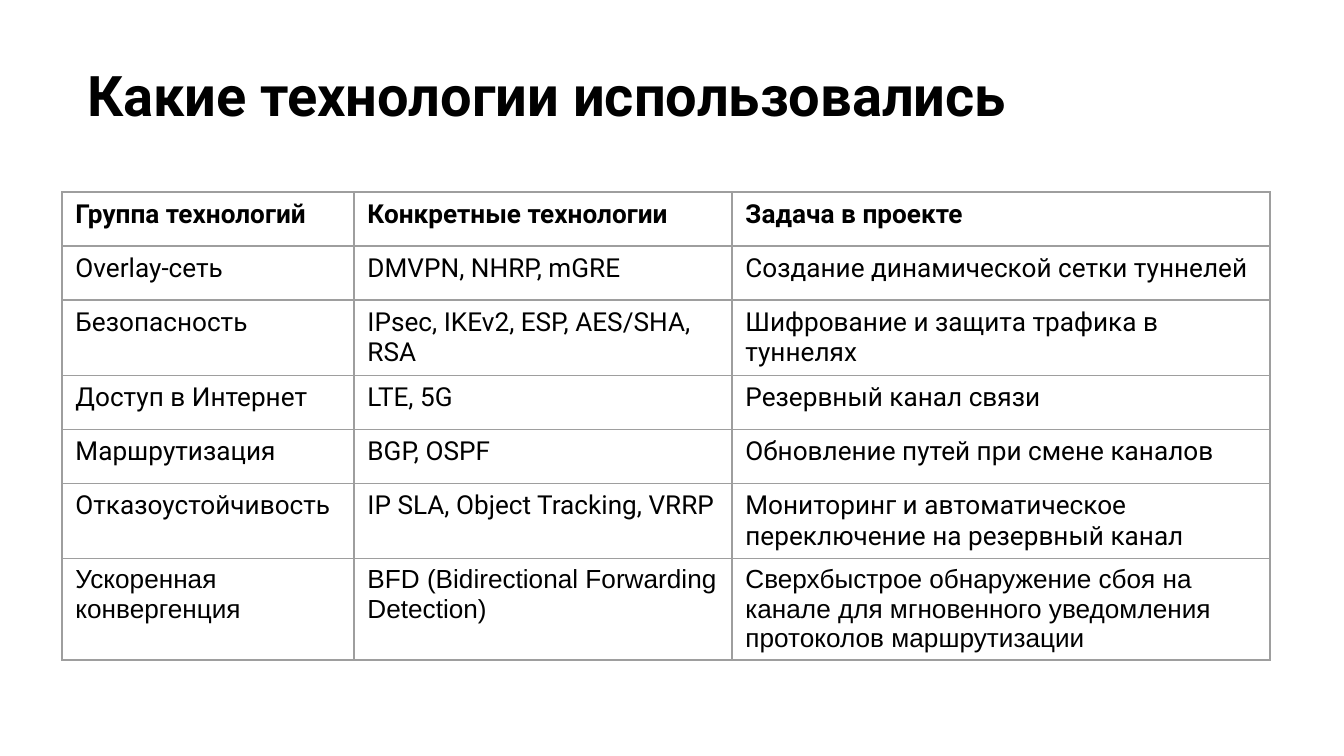
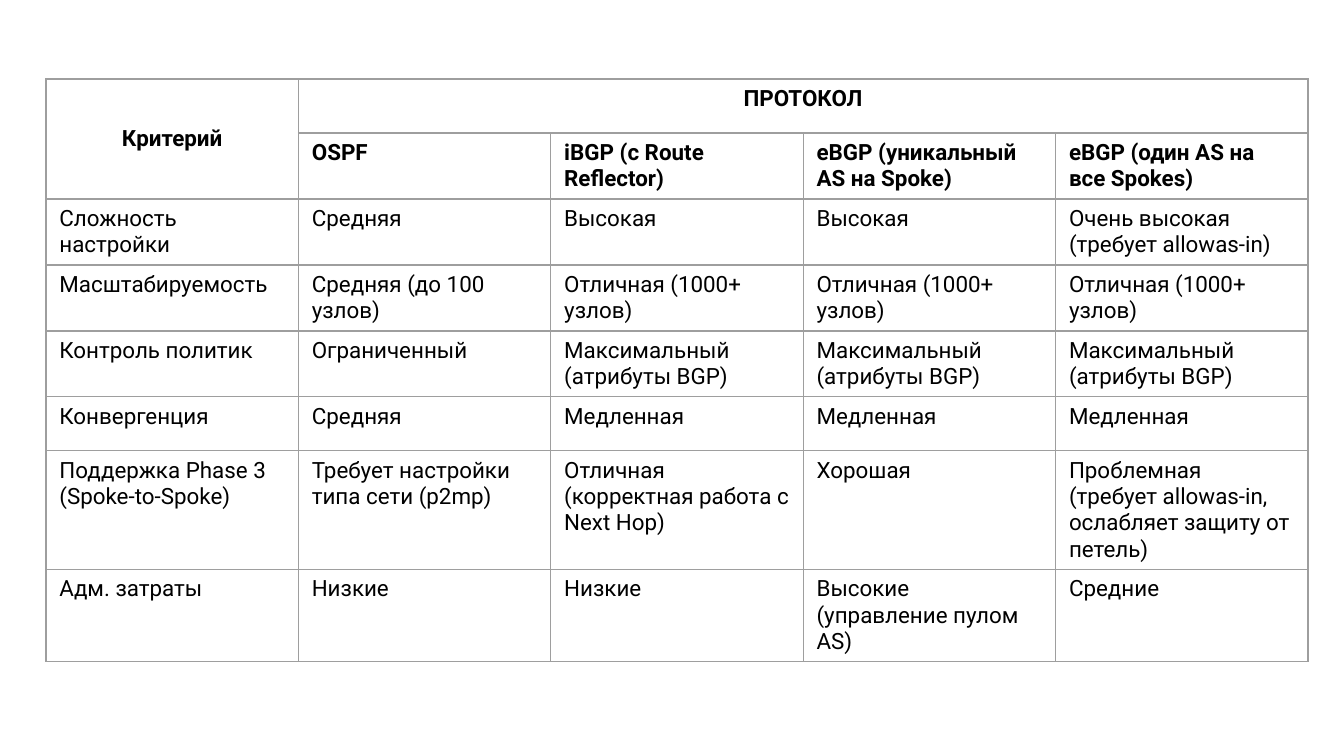
from lxml.etree import SubElement
from pptx import Presentation
from pptx.dml.color import RGBColor
from pptx.enum.text import MSO_ANCHOR, MSO_AUTO_SIZE, PP_ALIGN
from pptx.oxml.ns import qn
from pptx.util import Emu, Pt

COLORS = {"text": "000000", "paper": "FFFFFF", "grid": "9E9E9E"}
FONT = "Roboto"
PX = 914400 / 134.4
ROW_HEIGHT = 54
INSET = 13
TITLE = "Какие технологии использовались"

TECHNOLOGIES = {
    "place": (62, 192),
    "columns": [292, 378, 538],
    "size": 14,
    "header_rows": 1,
    "row_fonts": {6: "Arial"},
    "merges": [],
    "rows": [
        ("Группа технологий", "Конкретные технологии", "Задача в проекте"),
        ("Overlay-сеть", "DMVPN, NHRP, mGRE", "Создание динамической сетки туннелей"),
        ("Безопасность", "IPsec, IKEv2, ESP, AES/SHA, RSA", "Шифрование и защита трафика в туннелях"),
        ("Доступ в Интернет", "LTE, 5G", "Резервный канал связи"),
        ("Маршрутизация", "BGP, OSPF", "Обновление путей при смене каналов"),
        ("Отказоустойчивость", "IP SLA, Object Tracking, VRRP",
         "Мониторинг и автоматическое переключение на резервный канал"),
        ("Ускоренная конвергенция", "BFD (Bidirectional Forwarding Detection)",
         "Сверхбыстрое обнаружение сбоя на канале для мгновенного уведомления протоколов маршрутизации"),
    ],
}

PROTOCOLS = {
    "place": (46, 79),
    "columns": [1262 / 5] * 5,
    "size": 12,
    "header_rows": 2,
    "row_fonts": {},
    "merges": [((0, 0), (1, 0)), ((0, 1), (0, 4))],
    "rows": [
        ("Критерий", "ПРОТОКОЛ", None, None, None),
        (None, "OSPF", "iBGP (с Route Reflector)", "eBGP (уникальный AS на Spoke)",
         "eBGP (один AS на все Spokes)"),
        ("Сложность настройки", "Средняя", "Высокая", "Высокая", "Очень высокая (требует allowas-in)"),
        ("Масштабируемость", "Средняя (до 100 узлов)", *["Отличная (1000+ узлов)"] * 3),
        ("Контроль политик", "Ограниченный", *["Максимальный (атрибуты BGP)"] * 3),
        ("Конвергенция", "Средняя", *["Медленная"] * 3),
        ("Поддержка Phase 3 (Spoke-to-Spoke)", "Требует настройки типа сети (p2mp)",
         "Отличная (корректная работа с Next Hop)", "Хорошая",
         "Проблемная (требует allowas-in, ослабляет защиту от петель)"),
        ("Адм. затраты", "Низкие", "Низкие", "Высокие (управление пулом AS)", "Средние"),
    ],
}


def px(length):
    """Turn pixels into EMU."""
    return Emu(round(length * PX))


def color(name):
    """Look up a palette colour."""
    return RGBColor.from_string(COLORS[name])


def style_text(frame, size, bold, font=FONT, align=PP_ALIGN.LEFT):
    """Format every run of a text frame."""
    for para in frame.paragraphs:
        para.alignment = align
        for span in para.runs:
            span.font.name = font
            span.font.size = Pt(size)
            span.font.bold = bold
            span.font.color.rgb = color("text")


def frame_cell(cell):
    """Draw the four borders of a cell and fill it."""
    properties = cell._tc.get_or_add_tcPr()
    for side in ("a:lnL", "a:lnR", "a:lnT", "a:lnB"):
        line = SubElement(properties, qn(side), w=str(Pt(0.75)))
        fill = SubElement(line, qn("a:solidFill"))
        SubElement(fill, qn("a:srgbClr"), val=COLORS["grid"])
    cell.fill.solid()
    cell.fill.fore_color.rgb = color("paper")


def add_title(page, text):
    """Place the slide title."""
    title = page.shapes.title
    title.left, title.top, title.width, title.height = map(px, (74, 48, 1253, 161))
    frame = title.text_frame
    frame.text = text
    frame.word_wrap = True
    frame.auto_size = MSO_AUTO_SIZE.NONE
    frame.vertical_anchor = MSO_ANCHOR.TOP
    frame.margin_left = frame.margin_right = frame.margin_top = frame.margin_bottom = px(INSET)
    style_text(frame, 30, True)


def add_grid(page, content):
    """Build a bordered table from its content."""
    rows, columns = content["rows"], content["columns"]
    left, top = content["place"]
    table = page.shapes.add_table(
        len(rows), len(columns), px(left), px(top),
        px(sum(columns)), px(ROW_HEIGHT * len(rows))).table
    table.first_row = table.horz_banding = False
    for column, width in zip(table.columns, columns):
        column.width = px(width)
    for row_index, row in enumerate(rows):
        table.rows[row_index].height = px(ROW_HEIGHT)
        font = content["row_fonts"].get(row_index, FONT)
        for column_index, text in enumerate(row):
            cell = table.cell(row_index, column_index)
            frame_cell(cell)
            if text:
                cell.text_frame.text = text
                style_text(cell.text_frame, content["size"], row_index < content["header_rows"], font)
    for first, last in content["merges"]:
        cell = table.cell(*first)
        cell.merge(table.cell(*last))
        cell.text_frame.paragraphs[0].alignment = PP_ALIGN.CENTER
        if last[0] > first[0]:
            cell.vertical_anchor = MSO_ANCHOR.MIDDLE


def main():
    """Build and save the deck."""
    deck = Presentation()
    deck.slide_width, deck.slide_height = px(1344), px(756)
    technologies_page = deck.slides.add_slide(deck.slide_layouts[5])
    add_title(technologies_page, TITLE)
    add_grid(technologies_page, TECHNOLOGIES)
    protocols_page = deck.slides.add_slide(deck.slide_layouts[6])
    add_grid(protocols_page, PROTOCOLS)
    deck.save("out.pptx")


if __name__ == "__main__":
    main()
